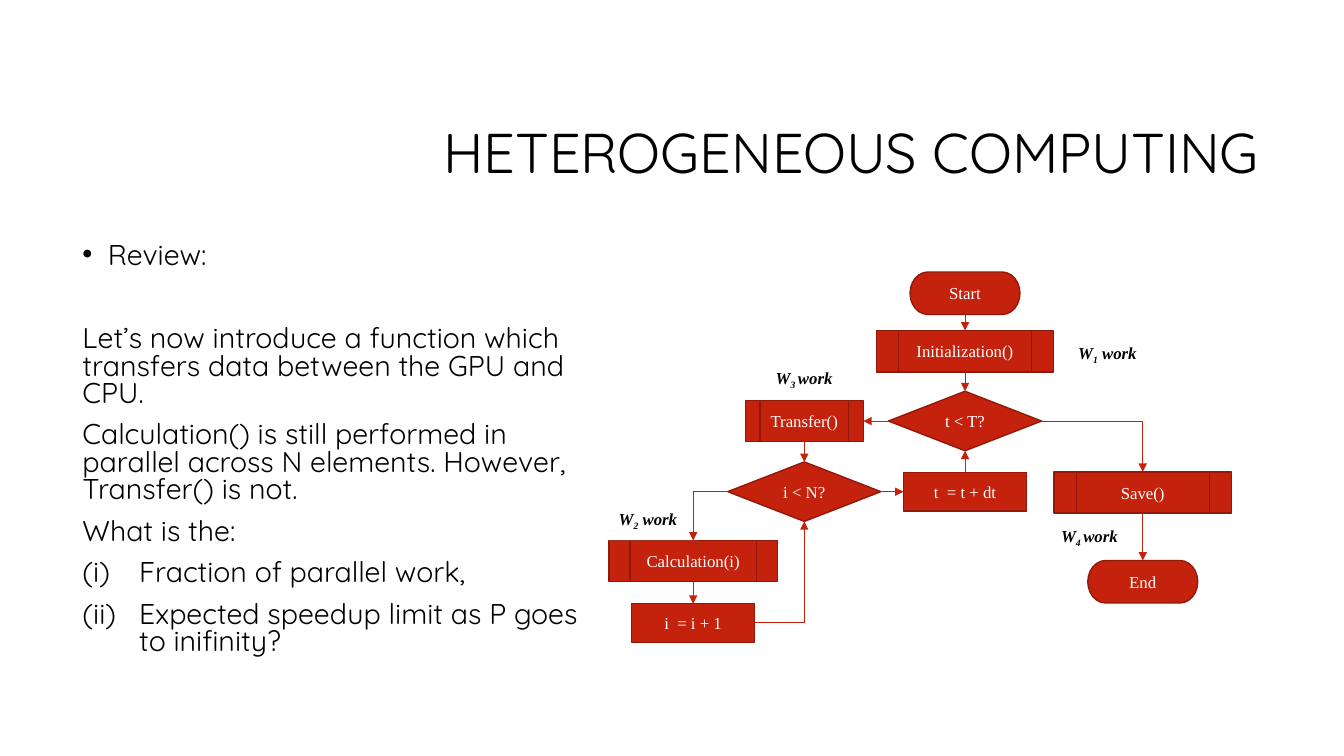
from lxml import etree
from pptx import Presentation
from pptx import util as u
from pptx.dml.color import RGBColor
from pptx.enum import shapes, text
from pptx.oxml.ns import qn

HUES = {"red": "C4220D", "edge": "91190A", "ink": "000000", "white": "FFFFFF"}
HUES = {name: RGBColor.from_string(code) for name, code in HUES.items()}
SANS, SERIF = "Quicksand", "Times New Roman"


def style(par, face, size, hue, bold=False):
    for run in par.runs:
        font = run.font
        font.name, font.size, font.color.rgb = face, u.Pt(size), HUES[hue]
        font.bold = font.italic = bold


def block(kind, left, top, wide, high, fill):
    box = slide.shapes.add_shape(kind, u.Cm(left), u.Cm(top), u.Cm(wide), u.Cm(high))
    box.shadow.inherit = False
    box.fill.solid()
    box.fill.fore_color.rgb = HUES[fill]
    return box


deck = Presentation()
deck.slide_width, deck.slide_height = u.Cm(33.87), u.Cm(19.05)
slide = deck.slides.add_slide(deck.slide_layouts[5])

# Title
title = slide.shapes.title
title.left, title.top = u.Cm(8.05), u.Cm(2.13)
title.width, title.height = u.Cm(23.93), u.Cm(3.58)
frame = title.text_frame
frame.text = "HETEROGENEOUS COMPUTING"
frame.vertical_anchor = text.MSO_ANCHOR.MIDDLE
par = frame.paragraphs[0]
par.alignment, par.line_spacing = text.PP_ALIGN.RIGHT, 0.9
style(par, SANS, 40, "ink")

# Body: words, space before, indent in cm, bullet tag and its attributes
lines = [
    ("Review:", 10, 0.64, "a:buChar", {"char": "•"}),
    ("Let’s now introduce a function which transfers data between the GPU and CPU.",
     39.6, 0, "a:buNone", {}),
    ("Calculation() is still performed in parallel across N elements. "
     "However, Transfer() is not.", 10, 0, "a:buNone", {}),
    ("What is the:", 10, 0, "a:buNone", {}),
    ("Fraction of parallel work,", 10, 1.43, "a:buAutoNum", {"type": "romanLcParenBoth"}),
    ("Expected speedup limit as P goes to inifinity?",
     10, 1.43, "a:buAutoNum", {"type": "romanLcParenBoth"}),
]
body = slide.shapes.add_textbox(u.Cm(1.83), u.Cm(6.02), u.Cm(13), u.Cm(13.03))
frame = body.text_frame
frame.word_wrap = True
frame.text = "\n".join(line[0] for line in lines)
for par, (words, gap, dent, tag, attrs) in zip(frame.paragraphs, lines):
    par.line_spacing, par.space_before = 0.8, u.Pt(gap)
    style(par, SANS, 20.4, "ink")
    props = par._p.get_or_add_pPr()
    props.set("marL", str(u.Cm(dent)))
    props.set("indent", str(-u.Cm(dent)))
    if tag == "a:buChar":
        etree.SubElement(props, qn("a:buFont"), typeface="Arial")
    etree.SubElement(props, qn(tag), attrs)

# Flowchart nodes: centre, width and height in cm, on four columns
CALC, LOOP, MAIN, EXIT = 17.47, 20.27, 24.32, 28.8
kinds = shapes.MSO_SHAPE
ROUND, TEST = kinds.FLOWCHART_TERMINATOR, kinds.FLOWCHART_DECISION
STEP, CALL = kinds.FLOWCHART_PROCESS, kinds.FLOWCHART_PREDEFINED_PROCESS
nodes = {}
for words, kind, mid, row, wide, high in [
    ("Start", ROUND, MAIN, 7.39, 2.77, 1.07),
    ("Initialization()", CALL, MAIN, 8.85, 4.47, 1.04),
    ("t < T?", TEST, MAIN, 10.61, 3.86, 1.5),
    ("Transfer()", CALL, LOOP, 10.61, 2.97, 1.04),
    ("i < N?", TEST, LOOP, 12.39, 3.86, 1.5),
    ("t  = t + dt", STEP, MAIN, 12.39, 3.1, 0.97),
    ("Calculation(i)", CALL, CALC, 14.14, 4.24, 1.04),
    ("i  = i + 1", STEP, CALC, 15.7, 3.1, 0.97),
    ("Save()", CALL, EXIT, 12.41, 4.47, 1.04),
    ("End", ROUND, EXIT, 14.66, 2.77, 1.07),
]:
    node = block(kind, mid - wide / 2, row - high / 2, wide, high, "red")
    node.line.color.rgb, node.line.width = HUES["edge"], u.Pt(1)
    frame = node.text_frame
    frame.margin_left = frame.margin_right = 0
    frame.vertical_anchor = text.MSO_ANCHOR.MIDDLE
    frame.text = words
    par = frame.paragraphs[0]
    par.alignment = text.PP_ALIGN.CENTER
    style(par, SERIF, 12, "white")
    nodes[words] = node

# Work labels
for low, rest, left, top, wide, high in [
    ("1", " work", 26.92, 8.51, 2.34, 0.84),
    ("2", " work", 15.34, 12.7, 2.24, 0.91),
    ("3 ", "work", 19.3, 9.14, 2.34, 0.84),
    ("4 ", "work", 26.49, 13.13, 2.16, 0.84),
]:
    label = block(kinds.RECTANGLE, left, top, wide, high, "white")
    label.line.fill.background()
    frame = label.text_frame
    frame.vertical_anchor = text.MSO_ANCHOR.TOP
    par = frame.paragraphs[0]
    par.alignment = text.PP_ALIGN.LEFT
    for words in ("W", low, rest):
        par.add_run().text = words
    style(par, SERIF, 12, "ink", bold=True)
    par.runs[1].font._element.set("baseline", "-25000")

# Arrows, glued to the sides of the nodes
TOP, LEFT, BASE, RIGHT = range(4)
for tail, out, head, into in [
    ("Start", BASE, "Initialization()", TOP),
    ("Initialization()", BASE, "t < T?", TOP),
    ("t < T?", LEFT, "Transfer()", RIGHT),
    ("t < T?", RIGHT, "Save()", TOP),
    ("Transfer()", BASE, "i < N?", TOP),
    ("i < N?", RIGHT, "t  = t + dt", LEFT),
    ("i < N?", LEFT, "Calculation(i)", TOP),
    ("t  = t + dt", TOP, "t < T?", BASE),
    ("Calculation(i)", BASE, "i  = i + 1", TOP),
    ("i  = i + 1", RIGHT, "i < N?", BASE),
    ("Save()", BASE, "End", TOP),
]:
    bent = (out - into) % 2 == 1
    link = slide.shapes.add_connector(shapes.MSO_CONNECTOR.STRAIGHT, 0, 0, 0, 0)
    link.begin_connect(nodes[tail], out)
    link.end_connect(nodes[head], into)
    link.line.color.rgb, link.line.width = HUES["red"], u.Pt(0.75)
    props = link.element.spPr
    if bent:
        props.find(qn("a:prstGeom")).set("prst", "bentConnector2")
    etree.SubElement(props.find(qn("a:ln")), qn("a:tailEnd"), type="triangle")
    etree.SubElement(props, qn("a:effectLst"))

deck.save("out.pptx")
